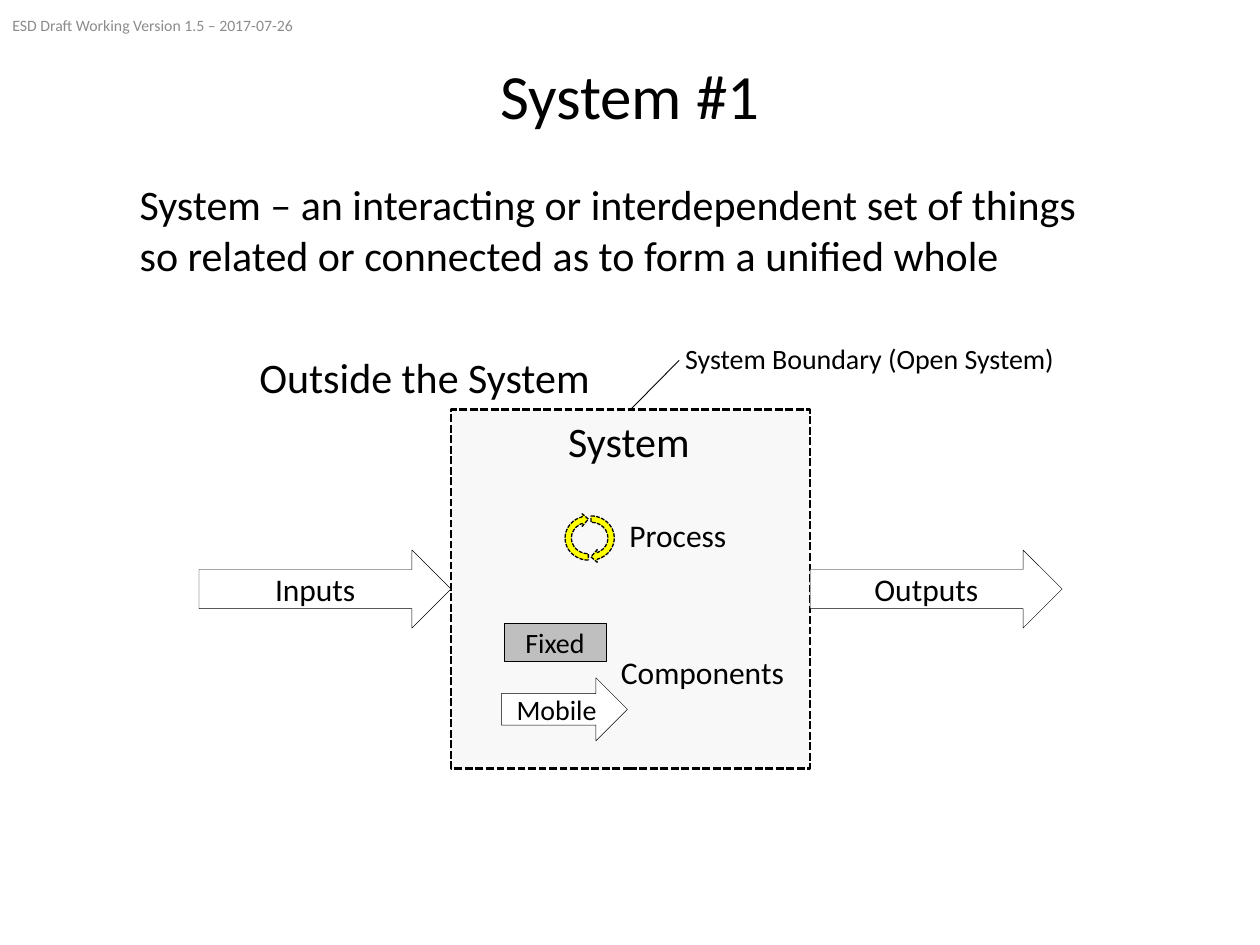
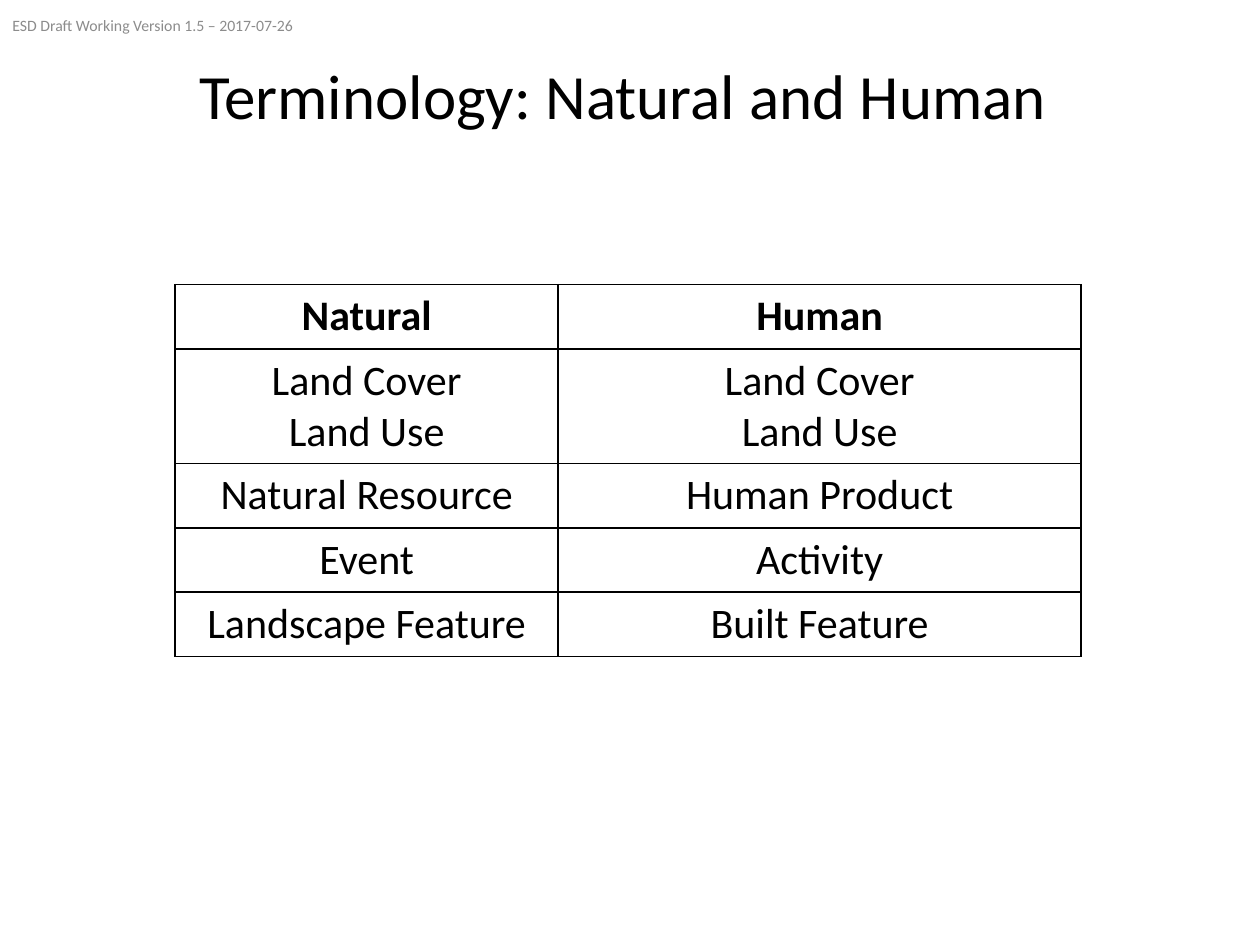
from dataclasses import dataclass

import lxml.etree
import pptx
import pptx.dml.color
import pptx.enum.dml
import pptx.enum.shapes
import pptx.enum.text
import pptx.oxml.ns
import pptx.util

Inches = pptx.util.Inches
Shape = pptx.enum.shapes.MSO_SHAPE
Align = pptx.enum.text.PP_ALIGN
Anchor = pptx.enum.text.MSO_ANCHOR
Dash = pptx.enum.dml.MSO_LINE.SQUARE_DOT


@dataclass(frozen=True)
class Theme:
    font: str = "Calibri"
    ink: str = "000000"
    paper: str = "FFFFFF"
    muted: str = "8C8C8C"
    system: str = "F2F2F2"
    component: str = "BFBFBF"
    process: str = "FFFF00"
    title: int = 36
    body: int = 24
    label: int = 18
    small: int = 16
    version: int = 9
    hairline: float = 0.25


@dataclass(frozen=True)
class Box:
    left: float
    top: float
    width: float
    height: float

    def inner(self, dx, dy, width, height):
        return Box(self.left + dx, self.top + dy, width, height)

    def emu(self):
        return [Inches(v) for v in (self.left, self.top, self.width, self.height)]


THEME = Theme()
VERSION = "ESD Draft Working Version 1.5 – 2017-07-26"
TERMS = [
    ("Natural", "Human"),
    ("Land Cover\nLand Use", "Land Cover\nLand Use"),
    ("Natural Resource", "Human Product"),
    ("Event", "Activity"),
    ("Landscape Feature", "Built Feature"),
]


def rgb(color):
    return pptx.dml.color.RGBColor.from_string(color)


def write(frame, text, size, align=Align.LEFT, color=THEME.ink, bold=False):
    frame.text = text
    for paragraph in frame.paragraphs:
        paragraph.alignment = align
        paragraph.font.name = THEME.font
        paragraph.font.size = pptx.util.Pt(size)
        paragraph.font.bold = bold
        paragraph.font.color.rgb = rgb(color)


def add_text(slide, box, text, size, align=Align.LEFT, color=THEME.ink,
             wrap=False, anchor=Anchor.TOP):
    frame = slide.shapes.add_textbox(*box.emu()).text_frame
    frame.word_wrap = wrap
    frame.vertical_anchor = anchor
    write(frame, text, size, align, color)
    return frame


def add_block(slide, kind, box, fill, line_width=THEME.hairline, text="",
              size=THEME.label, dashed=False):
    block = slide.shapes.add_shape(kind, *box.emu())
    block.shadow.inherit = False
    block.fill.solid()
    block.fill.fore_color.rgb = rgb(fill)
    block.line.color.rgb = rgb(THEME.ink)
    block.line.width = pptx.util.Pt(line_width)
    if dashed:
        block.line.dash_style = Dash
    if text:
        block.text_frame.vertical_anchor = Anchor.MIDDLE
        write(block.text_frame, text, size, Align.CENTER)
    return block


def set_opacity(shape, percent):
    color = shape.fill._xPr.find(".//" + pptx.oxml.ns.qn("a:srgbClr"))
    lxml.etree.SubElement(color, pptx.oxml.ns.qn("a:alpha"), val=str(percent * 1000))


def add_boundary_leader(slide, start, system):
    """Line from the boundary label to the middle of the system's top side."""
    x, y = (Inches(v) for v in start)
    leader = slide.shapes.add_connector(
        pptx.enum.shapes.MSO_CONNECTOR.STRAIGHT, x, y, x, y)
    leader.end_connect(system, 0)
    leader.line.color.rgb = rgb(THEME.ink)
    leader.line.width = pptx.util.Pt(0.5)
    lxml.etree.SubElement(leader._element.spPr, pptx.oxml.ns.qn("a:effectLst"))


def add_process_cycle(slide, box):
    """Two half-circle arrows that chase each other."""
    for dx, rotation in ((0, 270), (0.02, 90)):
        arrow = add_block(slide, Shape.CIRCULAR_ARROW,
                          box.inner(dx, 0, box.width, box.height),
                          THEME.process, 0.75, dashed=True)
        arrow.rotation = rotation


def add_system_interior(slide, box):
    heading = add_text(slide, box.inner(0.93, 0.05, 0.97, 0.4), "System", THEME.body)
    heading.margin_left = heading.margin_right = 0
    heading.margin_top = heading.margin_bottom = 0
    add_process_cycle(slide, box.inner(0.89, 0.81, 0.4, 0.42))
    add_text(slide, box.inner(1.31, 0.8, 0.98, 0.4), "Process", THEME.label, Align.CENTER)
    add_text(slide, box.inner(1.24, 1.88, 1.51, 0.4), "Components", THEME.label, Align.CENTER)
    add_block(slide, Shape.RECTANGLE, box.inner(0.42, 1.7, 0.81, 0.3),
              THEME.component, text="Fixed", size=THEME.small)
    add_block(slide, Shape.RIGHT_ARROW, box.inner(0.4, 2.13, 1, 0.5),
              THEME.paper, text="Mobile", size=THEME.small)


def add_system_diagram(slide, box):
    side, flow_width, flow_height = 2.85, 2, 0.62
    system_top = box.height - side
    system_box = box.inner(flow_width, system_top, side, side)
    system = add_block(slide, Shape.RECTANGLE, system_box, THEME.system, 1.5, dashed=True)
    set_opacity(system, 50)
    add_text(slide, box.inner(3.76, 0, 3.17, 0.37),
             "System Boundary (Open System)", THEME.small)
    add_boundary_leader(slide, (box.left + 3.81, box.top + 0.2), system)
    add_text(slide, box.inner(0.38, 0.08, 2.85, 0.5), "Outside the System", THEME.body)
    flow_top = system_top + (side - flow_height) / 2
    for dx, name in ((0, "Inputs"), (flow_width + side, "Outputs")):
        add_block(slide, Shape.RIGHT_ARROW,
                  box.inner(dx, flow_top, flow_width, flow_height),
                  THEME.paper, text=name)
    add_system_interior(slide, system_box)


def style_cell(cell, text, bold):
    write(cell.text_frame, text, THEME.body, Align.CENTER, bold=bold)
    cell.fill.background()
    qn = pptx.oxml.ns.qn
    properties = cell._tc.get_or_add_tcPr()
    for position, side in enumerate("LRTB"):
        border = lxml.etree.Element(qn("a:ln" + side), w=str(pptx.util.Pt(1)))
        fill = lxml.etree.SubElement(border, qn("a:solidFill"))
        lxml.etree.SubElement(fill, qn("a:srgbClr"), val=THEME.ink)
        properties.insert(position, border)


def add_terms_table(slide, box):
    table = slide.shapes.add_table(len(TERMS), 2, *box.emu()).table
    table.first_row = table.horz_banding = False
    first_width = 3.04
    for column, width in zip(table.columns, (first_width, box.width - first_width)):
        column.width = Inches(width)
    for index, terms in enumerate(TERMS):
        table.rows[index].height = Inches(0.91 if "\n" in terms[0] else 0.51)
        for column, term in enumerate(terms):
            style_cell(table.cell(index, column), term, bold=index == 0)


def add_slide(deck, title):
    slide = deck.slides.add_slide(deck.slide_layouts[6])
    heading = add_text(slide, Box(0.69, 0.4, 8.62, 0.78), title, THEME.title,
                       Align.CENTER, wrap=True, anchor=Anchor.MIDDLE)
    heading.paragraphs[0].line_spacing = 0.9
    add_text(slide, Box(0, 0, 3.38, 0.4), VERSION, THEME.version,
             color=THEME.muted, wrap=True, anchor=Anchor.MIDDLE)
    return slide


def build_system_slide(deck):
    slide = add_slide(deck, "System #1")
    add_text(slide, Box(1.01, 1.37, 7.97, 0.91),
             "System – an interacting or interdependent set of things "
             "so related or connected as to form a unified whole",
             THEME.body, wrap=True)
    add_system_diagram(slide, Box(1.58, 2.66, 6.85, 3.44))


def build_terminology_slide(deck):
    slide = add_slide(deck, "Terminology: Natural and Human ")
    add_terms_table(slide, Box(1.39, 2.26, 7.19, 2.95))


def main():
    deck = pptx.Presentation()
    deck.slide_width, deck.slide_height = Inches(10), Inches(7.5)
    build_system_slide(deck)
    build_terminology_slide(deck)
    deck.save("out.pptx")


if __name__ == "__main__":
    main()
